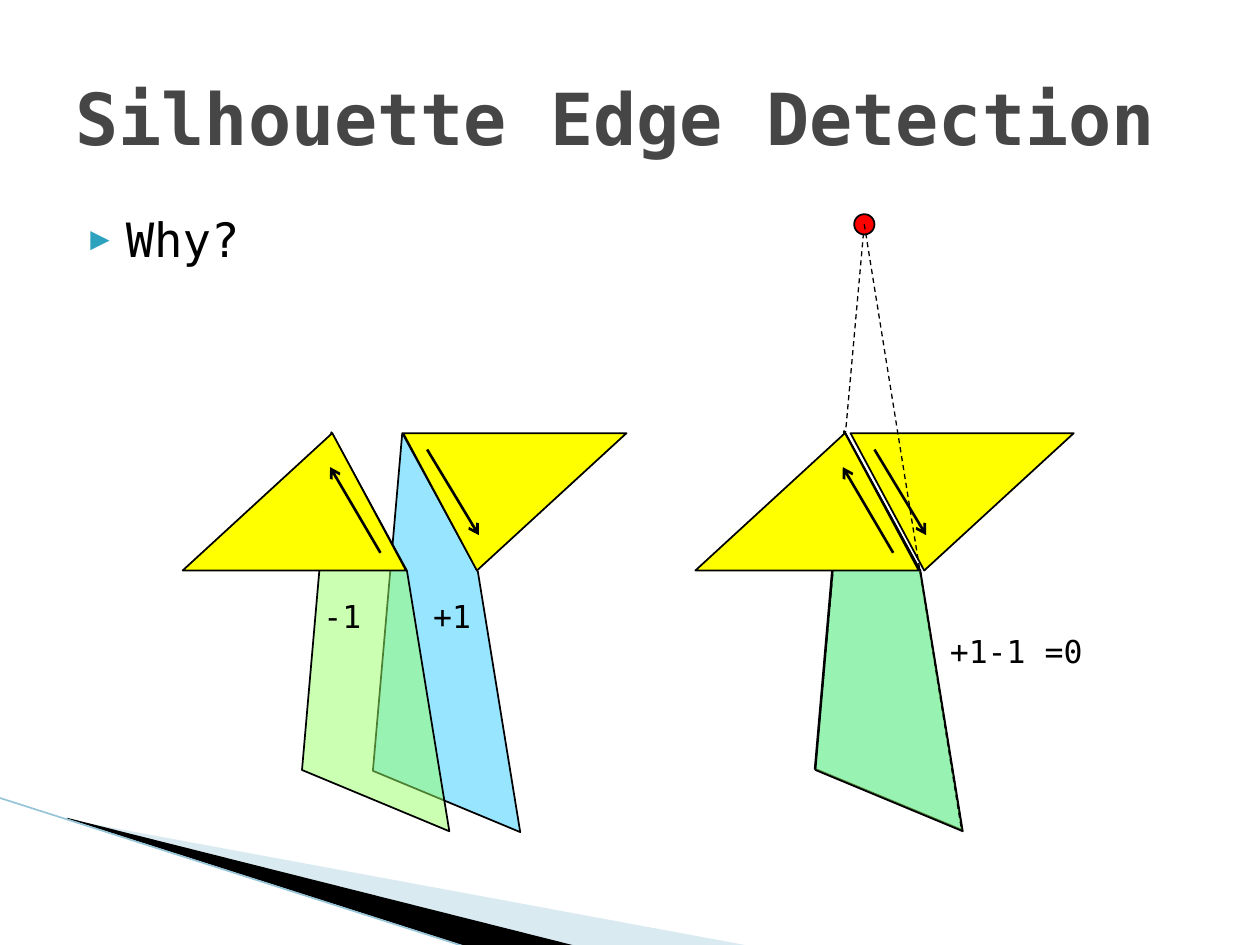
from lxml import etree
from pptx import Presentation
from pptx import util as u
from pptx.dml.color import RGBColor
from pptx.enum import dml, shapes, text
from pptx.oxml import parse_xml
from pptx.oxml.ns import nsdecls, qn

Pt = u.Pt
BLACK = RGBColor(0, 0, 0)
GREY = RGBColor(0x46, 0x46, 0x46)
YELLOW = RGBColor(0xFF, 0xFF, 0)
RED = RGBColor(0xFF, 0, 0)
BLUE = RGBColor(0x33, 0xCC, 0xFF)
GREEN = RGBColor(0x99, 0xFF, 0x66)
PALE = RGBColor(0xA0, 0xCB, 0xDC)
EDGE = RGBColor(0x97, 0xC5, 0xD8)
FONT = "DejaVu Sans Mono"

prs = Presentation()
prs.slide_width, prs.slide_height = Pt(720), Pt(540)
s = prs.slides.add_slide(prs.slide_layouts[6])


def add_line(x1, y1, x2, y2, width, color=BLACK):
    c = s.shapes.add_connector(shapes.MSO_CONNECTOR.STRAIGHT,
                               Pt(x1), Pt(y1), Pt(x2), Pt(y2))
    c.line.width = Pt(width)
    c.line.color.rgb = color
    etree.SubElement(c._element.spPr, qn("a:effectLst"))
    return c


def add_text(words, x, y, w, h, size, color=BLACK):
    sp = s.shapes.add_textbox(Pt(x), Pt(y), Pt(w), Pt(h))
    tf = sp.text_frame
    tf.word_wrap = True
    tf.text = words
    f = tf.paragraphs[0].runs[0].font
    f.name, f.size, f.color.rgb = FONT, Pt(size), color
    return tf


QUAD = [(0, 0), (-16.8, 193), (67.4, 228), (43.2, 79.2)]
polygons = [
    ([(39.6, 468.5), (428.4, 540.5), (328.5, 540.5), (39.6, 468)], PALE, 40, False),
    ([(38.2, 467.3), (329, 540.5), (267.8, 541.2), (38.9, 468)], BLACK, 100, False),
]
for x, y, color in [(229.9, 247.5, BLUE), (189.4, 247, GREEN),
                    (482.4, 246.3, BLUE), (482.8, 247, GREEN)]:
    polygons.append(([(x + dx, y + dy) for dx, dy in QUAD], color, 50, True))

for points, color, alpha, outlined in polygons:
    pts = [(Pt(x), Pt(y)) for x, y in points]
    fb = s.shapes.build_freeform(*pts[0])
    fb.add_line_segments(pts[1:], close=True)
    sp = fb.convert_to_shape()
    sp.shadow.inherit = False
    sp.fill.solid()
    sp.fill.fore_color.rgb = color
    if alpha < 100:
        clr = sp._element.spPr.find(qn("a:solidFill"))[0]
        etree.SubElement(clr, qn("a:alpha")).set("val", str(alpha * 1000))
    if outlined:
        sp.line.color.rgb = BLACK
        sp.line.width = Pt(1)
    else:
        sp.line.fill.background()

add_line(-0.7, 455.8, 267.1, 541.4, 0.95, EDGE)
light = (493.9, 128.2)
add_line(*light, 465.8, 439.9, 0.75).line.dash_style = dml.MSO_LINE.DASH

for x, rotation, arrow in [(104.4, 0, (113, 68.4, 84.2, 19.4)),
                           (230.4, 180, (13.7, 9.4, 43.2, 58.3)),
                           (397.4, 0, (113, 68.4, 84.2, 19.4)),
                           (486, 180, (13.7, 9.4, 43.2, 58.3))]:
    y = 247.5
    sp = s.shapes.add_shape(shapes.MSO_SHAPE.ISOSCELES_TRIANGLE,
                            Pt(x), Pt(y), Pt(127.6), Pt(78.5))
    sp.adjustments[0] = 0.67
    sp.rotation = rotation
    sp.shadow.inherit = False
    sp.fill.solid()
    sp.fill.fore_color.rgb = YELLOW
    sp.line.color.rgb = BLACK
    sp.line.width = Pt(1)
    x1, y1, x2, y2 = arrow
    c = add_line(x + x1, y + y1, x + x2, y + y2, 1.5)
    etree.SubElement(c.line._get_or_add_ln(), qn("a:tailEnd")).set("type", "arrow")

sp = s.shapes.add_shape(shapes.MSO_SHAPE.OVAL, Pt(light[0] - 5.8), Pt(light[1] - 5.8),
                        Pt(11.6), Pt(11.6))
sp.shadow.inherit = False
sp.fill.solid()
sp.fill.fore_color.rgb = RED
sp.line.color.rgb = BLACK
sp.line.width = Pt(1)
add_line(*light, 549.4, 473.8, 0.75).line.dash_style = dml.MSO_LINE.DASH

add_text("+1", 240.5, 337.7, 45.4, 28.8, 18)
add_text("-1", 177.8, 337.7, 45.4, 28.8, 18)
add_text("+1-1 =0", 535.7, 357.8, 105.1, 28.8, 18)

tf = add_text("Silhouette Edge Detection", 36, 21.6, 648, 90, 41, GREY)
tf.vertical_anchor = text.MSO_ANCHOR.MIDDLE
tf.paragraphs[0].runs[0].font.bold = True

tf = add_text("Why?", 36, 116.6, 648, 356.4, 27)
p = tf.paragraphs[0]
p.space_before = Pt(4)
pPr = p._p.get_or_add_pPr()
pPr.set("marL", str(Pt(28.8)))
pPr.set("indent", str(Pt(-20.16)))
for bullet in ['<a:buClr %s><a:srgbClr val="2DA2BF"/></a:buClr>',
               '<a:buSzPct %s val="68000"/>',
               '<a:buFont %s typeface="DejaVu Sans Mono"/>',
               '<a:buChar %s char="▶"/>']:
    pPr.append(parse_xml(bullet % nsdecls("a")))

prs.save("out.pptx")
